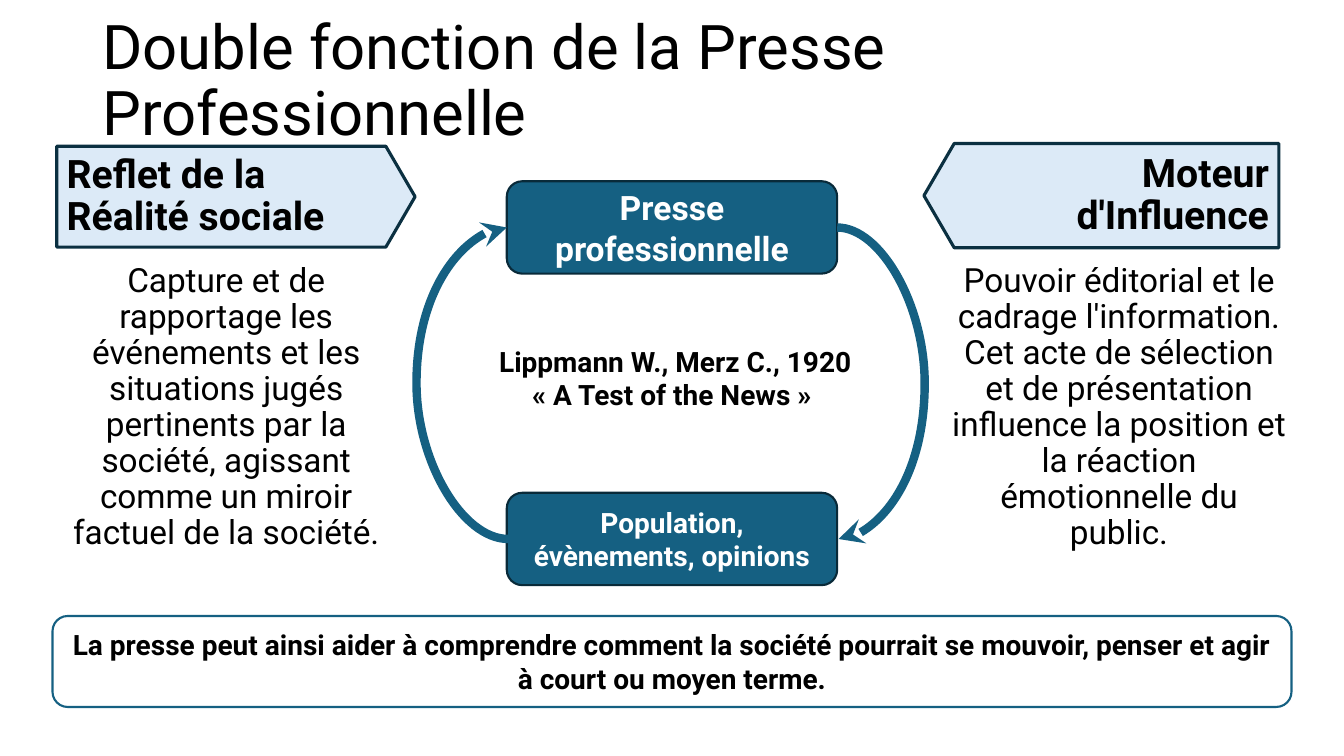
import pptx
import pptx.util
import pptx.dml.color
import pptx.enum.shapes
import pptx.enum.text
import pptx.oxml.ns
import lxml.etree

Pt = pptx.util.Pt
RGB = pptx.dml.color.RGBColor
KIND = pptx.enum.shapes.MSO_SHAPE
ALIGN = pptx.enum.text.PP_ALIGN
ANCHOR = pptx.enum.text.MSO_ANCHOR
qn = pptx.oxml.ns.qn

BLACK = RGB(0x00, 0x00, 0x00)
WHITE = RGB(0xFF, 0xFF, 0xFF)
TEAL = RGB(0x15, 0x60, 0x82)
DARK = RGB(0x09, 0x2A, 0x39)
NAVY = RGB(0x0B, 0x30, 0x41)
PALE = RGB(0xDC, 0xEA, 0xF7)
FONT = "Roboto"


def write(shape, text, size, bold=False, color=BLACK, align=ALIGN.CENTER,
          anchor=ANCHOR.MIDDLE, lines=None, before=0):
    """Fill a shape with text, one paragraph per line of the string."""
    frame = shape.text_frame
    frame.word_wrap = True
    frame.vertical_anchor = anchor
    frame.text = text
    for para in frame.paragraphs:
        para.alignment = align
        para.space_before = Pt(before)
        if lines:
            para.line_spacing = lines
        font = para.runs[0].font
        font.name, font.size, font.bold = FONT, Pt(size), bold
        font.color.rgb = color


def panel(slide, kind, box, fill, line=None, weight=1.5):
    """Add a flat preset shape in the given box."""
    shape = slide.shapes.add_shape(kind, *map(Pt, box))
    shape.shadow.inherit = False
    shape.fill.solid()
    shape.fill.fore_color.rgb = fill
    if line is None:
        shape.line.fill.background()
    else:
        shape.line.color.rgb = line
        shape.line.width = Pt(weight)
    return shape


def label(slide, box, text, size, **style):
    """Add a plain text box."""
    write(slide.shapes.add_textbox(*map(Pt, box)), text, size, **style)


def banner(slide, box, text, align, flip=False):
    """Add a pointed heading, turned to the left when flipped."""
    shape = panel(slide, KIND.PENTAGON, box, PALE, NAVY, 2.25)
    shape.adjustments[0] = 0.29
    if flip:
        shape._element.spPr.find(qn("a:xfrm")).set("flipH", "1")
    write(shape, text, 28, bold=True, align=align, lines=0.9, before=10)


def arc(slide, start, end, site, bulge):
    """Curve an arrow outwards between the same side of two boxes."""
    kind = pptx.enum.shapes.MSO_CONNECTOR.CURVE
    wire = slide.shapes.add_connector(kind, 0, 0, 0, 0)
    wire.begin_connect(start, site)
    wire.end_connect(end, site)
    if site == 1:
        wire.begin_x += Pt(1)
    else:
        wire.end_x += Pt(1)
    wire.line.color.rgb = TEAL
    wire.line.width = Pt(6)
    props = wire._element.spPr
    guides = props.find(qn("a:prstGeom")).get_or_add_avLst()
    lxml.etree.SubElement(guides, qn("a:gd"), name="adj1",
                          fmla=f"val {bulge * 100000}")
    lxml.etree.SubElement(props.find(qn("a:ln")), qn("a:tailEnd"),
                          type="stealth")
    lxml.etree.SubElement(props, qn("a:effectLst"))


def cycle(slide, box):
    """Draw the loop between the press and the population."""
    left, top, width, height = box
    tall = 66
    nodes = []
    for y, text, size in (
            (top, "Presse professionnelle", 24),
            (top + height - tall, "Population, évènements, opinions", 20)):
        node = panel(slide, KIND.ROUNDED_RECTANGLE, (left, y, width, tall),
                     TEAL, DARK)
        write(node, text, size, bold=True, color=WHITE)
        nodes.append(node)
    press, crowd = nodes
    arc(slide, crowd, press, 1, 66)
    arc(slide, press, crowd, 3, 63)
    note = panel(slide, KIND.ROUNDED_RECTANGLE,
                 (left - 37, top + 101.5, width + 74, 78), WHITE)
    write(note, " Lippmann W., Merz C., 1920\n« A Test of the News »", 20,
          bold=True)


def main():
    """Build the slide and save it."""
    deck = pptx.Presentation()
    deck.slide_width, deck.slide_height = Pt(960), Pt(540)
    slide = deck.slides.add_slide(deck.slide_layouts[6])
    label(slide, (66, 26.5, 828, 65), "Double fonction de la Presse Professionnelle",
          44, align=ALIGN.LEFT, lines=0.9)
    banner(slide, (40.5, 104.5, 256, 72), "Reflet de la Réalité sociale",
           ALIGN.LEFT)
    banner(slide, (660, 102.5, 253.5, 74.5), "Moteur d'Influence",
           ALIGN.RIGHT, flip=True)
    body = dict(anchor=ANCHOR.TOP, lines=0.9, before=10)
    label(slide, (40.5, 185, 242, 222),
          "Capture et de rapportage les événements et les situations jugés "
          "pertinents par la société, agissant comme un miroir factuel de la "
          "société.", 23.8, **body)
    label(slide, (672.5, 185, 253.5, 232),
          "Pouvoir éditorial et le cadrage l'information. Cet acte de "
          "sélection et de présentation influence la position et la réaction "
          "émotionnelle du public.", 23.8, **body)
    cycle(slide, (362, 129.5, 236, 288.5))
    close = panel(slide, KIND.ROUNDED_RECTANGLE, (37.5, 440, 885, 65),
                  WHITE, TEAL)
    write(close, "La presse peut ainsi aider à comprendre comment la société "
          "pourrait se mouvoir, penser et agir à court ou moyen terme.", 20,
          bold=True)
    deck.save("out.pptx")


if __name__ == "__main__":
    main()
